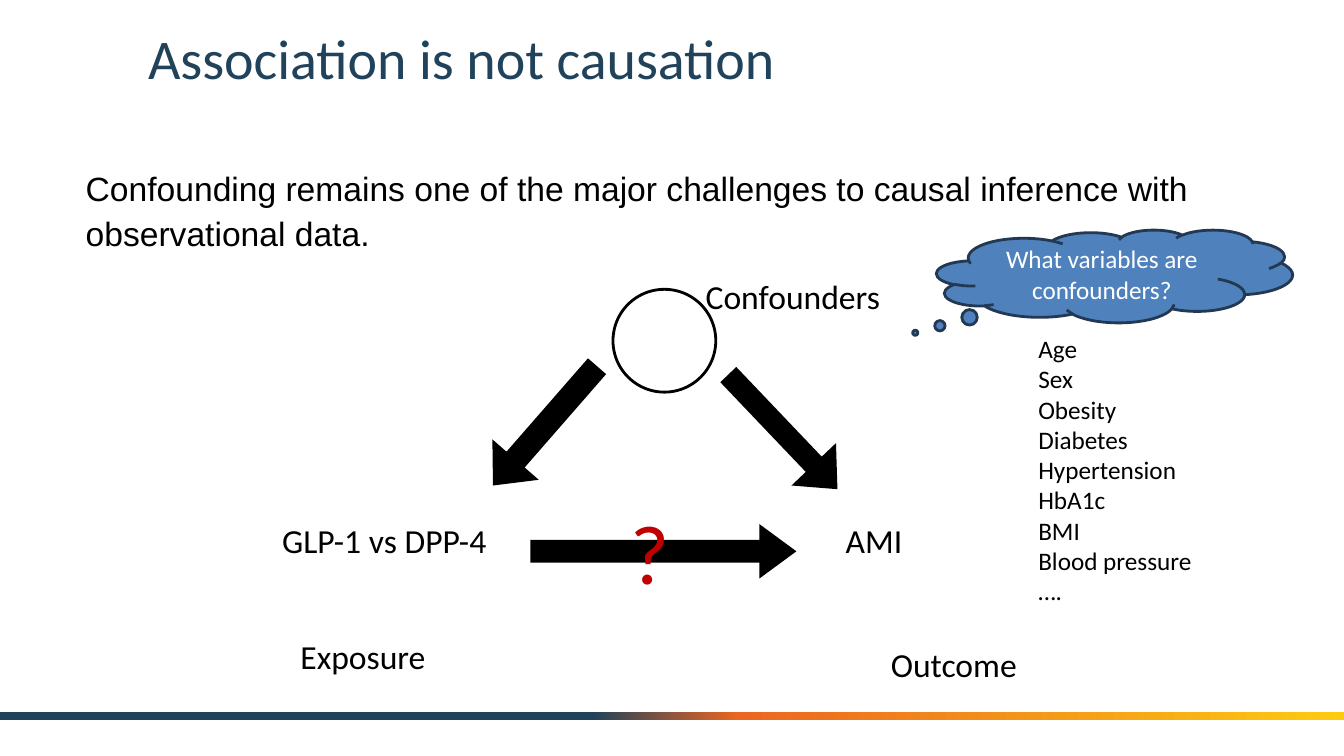
from copy import deepcopy

from pptx import Presentation
from pptx import util as u
from pptx.dml.color import RGBColor
from pptx.enum import shapes, text

# Content: every place is (left, top, width, height) in percent of the slide
WIDTH, HEIGHT = 13.33, 7.5
INK, NAVY, RED, WHITE = "000000", "20425A", "C00000", "FFFFFF"
KIND = shapes.MSO_SHAPE

FOOTER = (0, 94.13, 100, 1.07)
FOOTER_STOPS = [(44, NAVY), (55, "EB6622"), (100, "FCCB10")]

HEADINGS = [
    (["Association is not causation"], (10.28, 2.27, 84.77, 12.27),
     dict(size=40, color=NAVY, spacing=0.8, anchor="MIDDLE")),
    (["Confounding remains one of the major challenges to causal inference "
      "with observational data."], (6.38, 21.07, 86.2, 60.13),
     dict(font="Arial", spacing=1.1, inset=0)),
]
ARROWS = [  # place, rotation, adjustments
    ((34.66, 52.27, 11.78, 8.13), 131.1, (0.391, 0.559)),
    ((52.36, 53.07, 11.78, 8.13), 46.4, (0.359, 0.559)),
    ((39.46, 69.33, 19.8, 7.2), 0, (0.414, 0.68)),
]
ROLES = [
    (["Confounders"], (51.76, 35.87, 14.63, 6.67), dict(wrap=False)),
    (["Outcome"], (65.49, 84.53, 10.95, 6.67), dict(wrap=False, align="CENTER")),
    (["Exposure"], (21.61, 83.47, 10.95, 6.67), dict(wrap=False)),
    (["?"], (46.21, 65.6, 6.6, 14.8), dict(size=60, color=RED)),
]
CIRCLE = (45.61, 38.27, 7.65, 13.6)
VARIABLES = [
    (["GLP-1 vs DPP-4"], (20.26, 68.13, 17.85, 6.67), {}),
    (["AMI"], (62.19, 68.13, 17.85, 6.67), {}),
    (["Age", "Sex", "Obesity", "Diabetes", "Hypertension", "HbA1c", "BMI",
      "Blood pressure", "…."], (76.52, 43.47, 13.05, 37.73),
     dict(size=18, wrap=False)),
]
CLOUD = (69.69, 30.4, 26.48, 12.27)
QUESTION = ["What variables are confounders?"]

deck = Presentation()
deck.slide_width, deck.slide_height = u.Inches(WIDTH), u.Inches(HEIGHT)
page = deck.slides.add_slide(deck.slide_layouts[6])


def rgb(value):
    return RGBColor.from_string(value)


def spot(place):
    return [u.Inches(share * side / 100)
            for share, side in zip(place, (WIDTH, HEIGHT) * 2)]


def write(box, lines, size=24, color=INK, font="Calibri", align="LEFT",
          anchor="TOP", spacing=1.0, wrap=True, inset=0.1):
    frame = box.text_frame
    frame_format = dict(word_wrap=wrap, margin_left=u.Inches(inset),
                        vertical_anchor=getattr(text.MSO_ANCHOR, anchor))
    for name, value in frame_format.items():
        setattr(frame, name, value)
    for index, line in enumerate(lines):
        para = frame.add_paragraph() if index else frame.paragraphs[0]
        para.alignment = getattr(text.PP_ALIGN, align)
        para.line_spacing = spacing
        span = para.add_run()
        span.text = line
        for name, value in dict(name=font, size=u.Pt(size)).items():
            setattr(span.font, name, value)
        span.font.color.rgb = rgb(color)


def label(lines, place, style):
    write(page.shapes.add_textbox(*spot(place)), lines, **style)


def draw(kind, place, fill, line=None, adjust=(), turn=0):
    shape = page.shapes.add_shape(kind, *spot(place))
    shape.shadow.inherit = False
    shape.rotation = turn
    for index, value in enumerate(adjust):
        shape.adjustments[index] = value
    shape.fill.solid()
    shape.fill.fore_color.rgb = rgb(fill)
    if line:
        shape.line.color.rgb = rgb(line)
        shape.line.width = u.Pt(2)
    else:
        shape.line.fill.background()
    return shape


# Footer band with a three-stop gradient
band = draw(KIND.RECTANGLE, FOOTER, NAVY)
band.fill.gradient()
band.fill.gradient_angle = 0
stops = band.element.xpath(".//a:gsLst")[0]
stops.append(deepcopy(stops[-1]))
for stop, (position, color) in zip(band.fill.gradient_stops, FOOTER_STOPS):
    stop.position = position / 100
    stop.color.rgb = rgb(color)

# Title and statement
for heading in HEADINGS:
    label(*heading)

# Causal diagram
for place, turn, adjust in ARROWS:
    draw(KIND.RIGHT_ARROW, place, INK, adjust=adjust, turn=turn)
for role in ROLES:
    label(*role)
draw(KIND.OVAL, CIRCLE, WHITE, INK)

# Variables and the question about them
for variable in VARIABLES:
    label(*variable)
cloud = draw(KIND.CLOUD_CALLOUT, CLOUD, "4F81BD", "233953", (-0.56, 0.61))
write(cloud, QUESTION, size=18, color=WHITE, align="CENTER", anchor="MIDDLE")

deck.save("out.pptx")
